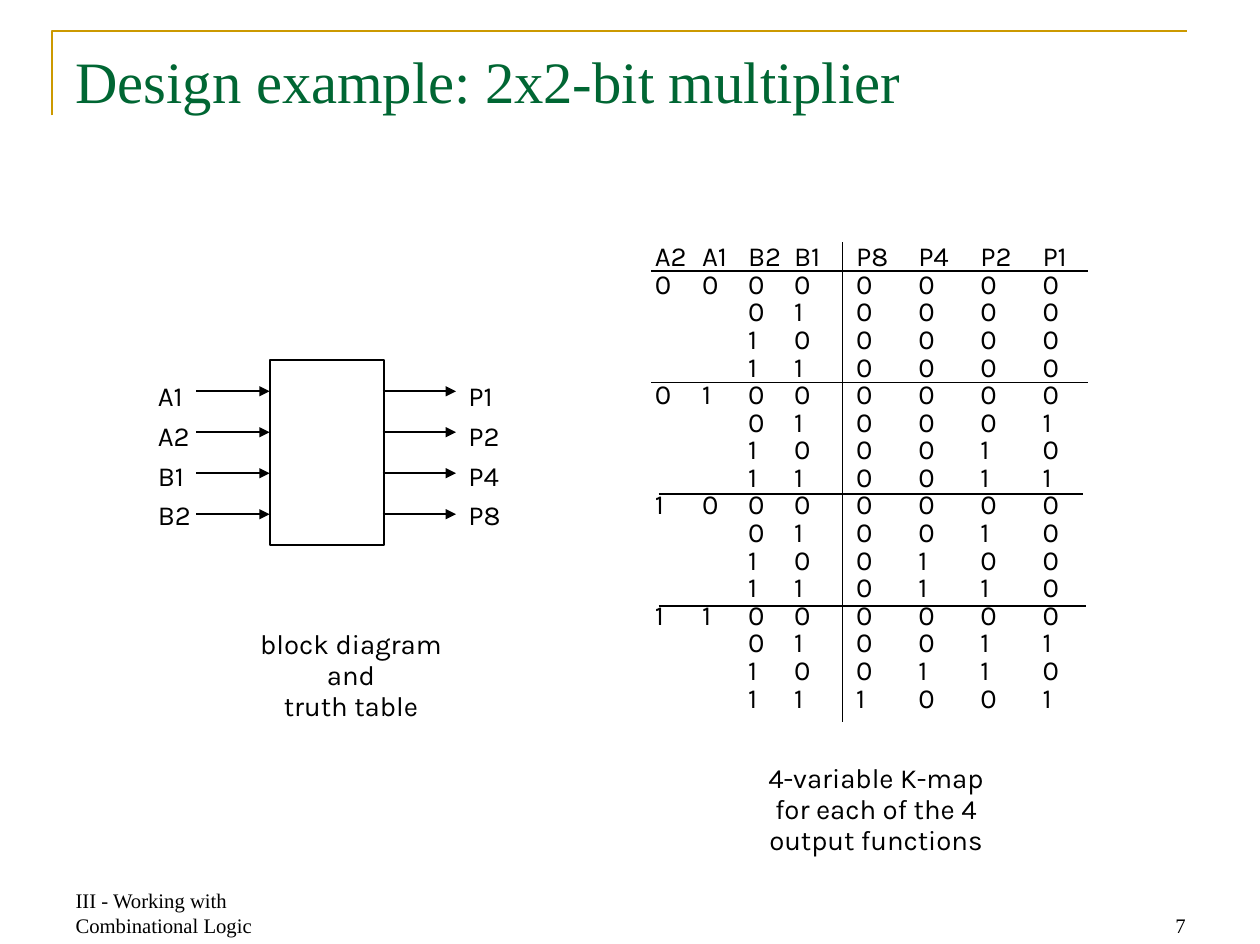
from dataclasses import dataclass
from itertools import product

from lxml.etree import SubElement as Sub
from pptx import Presentation
from pptx.dml.color import RGBColor
from pptx.enum.shapes import MSO_CONNECTOR as Conn, MSO_SHAPE as Kind
from pptx.enum.text import MSO_ANCHOR as Anchor, PP_ALIGN as Align
from pptx.oxml.ns import qn
from pptx.slide import Slide
from pptx.util import Inches, Length, Pt

BLACK = RGBColor(0x00, 0x00, 0x00)
GREEN = RGBColor(0x00, 0x66, 0x33)
GOLD = RGBColor(0xCC, 0x99, 0x00)
SERIF, SANS = "Times New Roman", "Karla"
WIDE, SLIM = (0.1, 0.05), (0.02, 0.03)
TABS = (0.38, 0.75, 1.12, 1.62, 2.12, 2.62, 3.12)


@dataclass
class Label:
    box: tuple[float, float, float, float]
    lines: list[str]
    size: int = 16
    font: str = SANS
    color: RGBColor = BLACK
    inset: tuple[float, float] = SLIM
    align: Align = Align.LEFT
    anchor: Anchor = Anchor.TOP
    gap: Length | float | None = None
    tabs: tuple[float, ...] = ()


@dataclass
class Line:
    x1: float
    y1: float
    x2: float
    y2: float
    arrow: bool = False


def add_label(slide: Slide, item: Label) -> None:
    frame = slide.shapes.add_textbox(*map(Inches, item.box)).text_frame
    frame.word_wrap = True
    frame.vertical_anchor = item.anchor
    frame.margin_left = frame.margin_right = Inches(item.inset[0])
    frame.margin_top = frame.margin_bottom = Inches(item.inset[1])
    for num, text in enumerate(item.lines):
        para = frame.add_paragraph() if num else frame.paragraphs[0]
        para.alignment = item.align
        para.line_spacing = item.gap
        if item.tabs:
            stops = Sub(para._p.get_or_add_pPr(), qn("a:tabLst"))
            for pos in item.tabs:
                Sub(stops, qn("a:tab"), pos=str(Inches(pos)), algn="l")
        run = para.add_run()
        run.text = text
        run.font.name = item.font
        run.font.size = Pt(item.size)
        run.font.color.rgb = item.color


def add_line(slide: Slide, item: Line) -> None:
    ends = map(Inches, (item.x1, item.y1, item.x2, item.y2))
    line = slide.shapes.add_connector(Conn.STRAIGHT, *ends)
    line.line.color.rgb = BLACK
    line.line.width = Pt(1)
    props = line._element.spPr
    if item.arrow:
        Sub(props.find(qn("a:ln")), qn("a:tailEnd"), type="triangle")
    Sub(props, qn("a:effectLst"))


def add_frame(slide: Slide) -> None:
    pen = slide.shapes.build_freeform(Inches(0.42), Inches(0.93))
    points = [(0.42, 0.25), (9.55, 0.25)]
    pen.add_line_segments([(Inches(x), Inches(y)) for x, y in points], close=False)
    edge = pen.convert_to_shape()
    edge.shadow.inherit = False
    edge.fill.background()
    edge.line.color.rgb = GOLD
    edge.line.width = Pt(1.5)


def add_block(slide: Slide) -> None:
    block = slide.shapes.add_shape(Kind.RECTANGLE, *map(Inches, (2.17, 2.9, 0.92, 1.49)))
    block.shadow.inherit = False
    block.fill.background()
    block.line.color.rgb = BLACK
    block.line.width = Pt(1)


def truth_rows() -> list[str]:
    rows = ["\t".join(["A2", "A1", "B2", "B1", "P8", "P4", "P2", "P1"])]
    for a, b in product(range(4), repeat=2):
        left = ["", ""] if b else list(f"{a:02b}")
        rows.append("\t".join([*left, *f"{b:02b}", *f"{a * b:04b}"]))
    return rows


def main() -> None:
    """Build the multiplier slide and save it."""
    deck = Presentation()
    deck.slide_width, deck.slide_height = Inches(10.14), Inches(7.6)
    slide = deck.slides.add_slide(deck.slide_layouts[6])
    labels = [
        Label((0.51, 0.31, 9.12, 1.26), ["Design example: 2x2-bit multiplier"],
              34, SERIF, GREEN, WIDE),
        Label((0.51, 7.09, 2.37, 0.51), ["III - Working with Combinational Logic"],
              12, SERIF, inset=WIDE, anchor=Anchor.BOTTOM),
        Label((7.27, 7.09, 2.37, 0.51), ["7"], 12, SERIF, inset=WIDE,
              align=Align.RIGHT, anchor=Anchor.BOTTOM),
        Label((1.86, 5.03, 1.93, 0.89), ["block diagram", "and", "truth table"],
              align=Align.CENTER, gap=Pt(18)),
        Label((5.83, 6.11, 2.44, 0.89),
              ["4-variable K-map", "for each of the 4", "output functions"],
              align=Align.CENTER, gap=Pt(18)),
        Label((5.25, 1.94, 3.58, 4.14), truth_rows(), gap=Pt(16), tabs=TABS),
        Label((1.25, 2.97, 0.33, 1.33), ["A1", "A2", "B1", "B2"], gap=1.2),
        Label((3.75, 2.97, 0.33, 1.33), ["P1", "P2", "P4", "P8"], gap=1.2),
    ]
    lines = [Line(6.78, 1.95, 6.78, 5.81)]
    spans = [(5.24, 8.76), (5.24, 8.76), (5.3, 8.72), (5.3, 8.74)]
    for num, (left, right) in enumerate(spans):
        y = 2.18 + 0.9 * num
        lines.append(Line(left, y, right, y))
    for num, left in product(range(4), (1.58, 3.08)):
        y = 3.15 + 0.33 * num
        lines.append(Line(left, y, left + 0.59, y, arrow=True))

    add_frame(slide)
    add_block(slide)
    for line in lines:
        add_line(slide, line)
    for label in labels:
        add_label(slide, label)
    deck.save("out.pptx")


if __name__ == "__main__":
    main()
